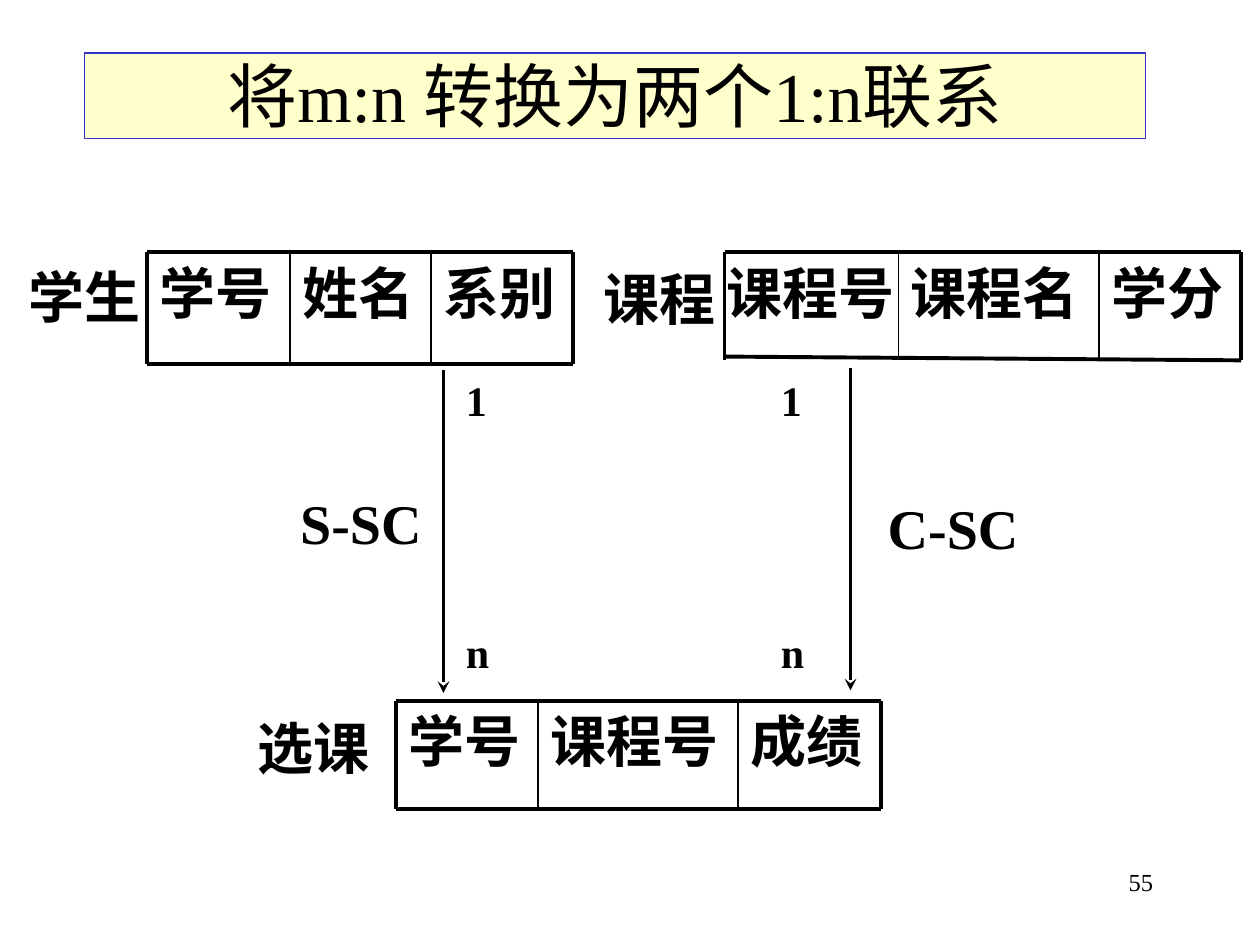
from pptx import Presentation
from pptx.dml.color import RGBColor
from pptx.enum import shapes, text
from pptx.oxml.ns import qn
from pptx.util import Inches, Pt
from lxml import etree

BLACK = RGBColor(0x00, 0x00, 0x00)
CREAM = RGBColor(0xFF, 0xFF, 0xCC)
BLUE = RGBColor(0x33, 0x33, 0xCC)
FONT = "Times New Roman"
LEFT, MID, RIGHT = text.PP_ALIGN.LEFT, text.PP_ALIGN.CENTER, text.PP_ALIGN.RIGHT


def write(shape, words, size=32, bold=True, align=LEFT, inset=True):
    frame = shape.text_frame
    frame.word_wrap = True
    frame.vertical_anchor = text.MSO_ANCHOR.TOP
    if not inset:
        frame.margin_left = frame.margin_right = 0
        frame.margin_top = frame.margin_bottom = 0
    para = frame.paragraphs[0]
    para.alignment = align
    run = para.add_run()
    run.text = words
    run.font.name = FONT
    run.font.size = Pt(size)
    run.font.bold = bold
    run.font.color.rgb = BLACK


def label(slide, box, words, **style):
    write(slide.shapes.add_textbox(*map(Inches, box)), words, **style)


def rule(slide, start, end, width=2.25, arrow=False):
    line = slide.shapes.add_connector(
        shapes.MSO_CONNECTOR.STRAIGHT, *map(Inches, (*start, *end)))
    line.line.color.rgb = BLACK
    line.line.width = Pt(width)
    props = line._element.spPr
    if arrow:
        etree.SubElement(props.find(qn("a:ln")), qn("a:tailEnd"), type="stealth")
    etree.SubElement(props, qn("a:effectLst"))


def title(slide, box, words):
    bar = slide.shapes.add_shape(shapes.MSO_SHAPE.RECTANGLE, *map(Inches, box))
    bar.shadow.inherit = False
    bar.fill.solid()
    bar.fill.fore_color.rgb = CREAM
    bar.line.color.rgb = BLUE
    bar.line.width = Pt(0.75)
    write(bar, words, size=40, bold=False, align=MID, inset=False)


def relation(slide, name, spot, edges, top, height, fields, lead=0, drop=0):
    """Named row of fields between the x edges.

    lead widens the first field's text to the left; drop raises the left
    end of the bottom line.
    """
    label(slide, spot, name, align=MID, inset=False)
    base = top + height
    first, last = edges[0], edges[-1]
    for field, left, right in zip(fields, edges, edges[1:]):
        shift = lead if left == first else 0
        label(slide, (left - shift, top, right - left + 2 * shift, height), field)
    rule(slide, (first, top), (last, top))
    rule(slide, (first, base - drop), (last, base))
    for x in edges:
        rule(slide, (x, top), (x, base), width=2.25 if x in (first, last) else 1)


def link(slide, x, top, name, spot, mark):
    """Arrow from the 1 side down to the n side, with its name and marks."""
    label(slide, spot, name, align=MID, inset=False)
    rule(slide, (x, top), (x, top + 2.56), arrow=True)
    for y, sign in ((2.92, "1"), (4.92, "n")):
        label(slide, (mark, y, 0.5, 0.5), sign, size=24)


def main():
    deck = Presentation()
    deck.slide_width, deck.slide_height = Inches(10), Inches(7.5)
    slide = deck.slides.add_slide(deck.slide_layouts[6])

    title(slide, (0.67, 0.42, 8.42, 0.68), "将m:n 转换为两个1:n联系")
    relation(slide, "学生", (0.17, 2.08, 1, 0.53), (1.17, 2.3, 3.42, 4.55),
             2, 0.89, ("学号", "姓名", "系别"))
    relation(slide, "课程", (4.67, 2.1, 1.13, 0.53), (5.75, 7.13, 8.72, 9.85),
             2, 0.86, ("课程号", "课程名", "学分"), lead=0.08, drop=0.03)
    relation(slide, "选课", (1.92, 5.66, 1.13, 0.53), (3.14, 4.27, 5.86, 6.99),
             5.56, 0.86, ("学号", "课程号", "成绩"))
    link(slide, 3.52, 2.94, "S-SC", (2.3, 3.88, 1.13, 0.53), 3.6)
    link(slide, 6.75, 2.92, "C-SC", (7, 3.92, 1.13, 0.53), 6.1)
    label(slide, (7.17, 6.83, 2.08, 0.5), "55", size=14, bold=False, align=RIGHT)

    deck.save("out.pptx")


if __name__ == "__main__":
    main()
